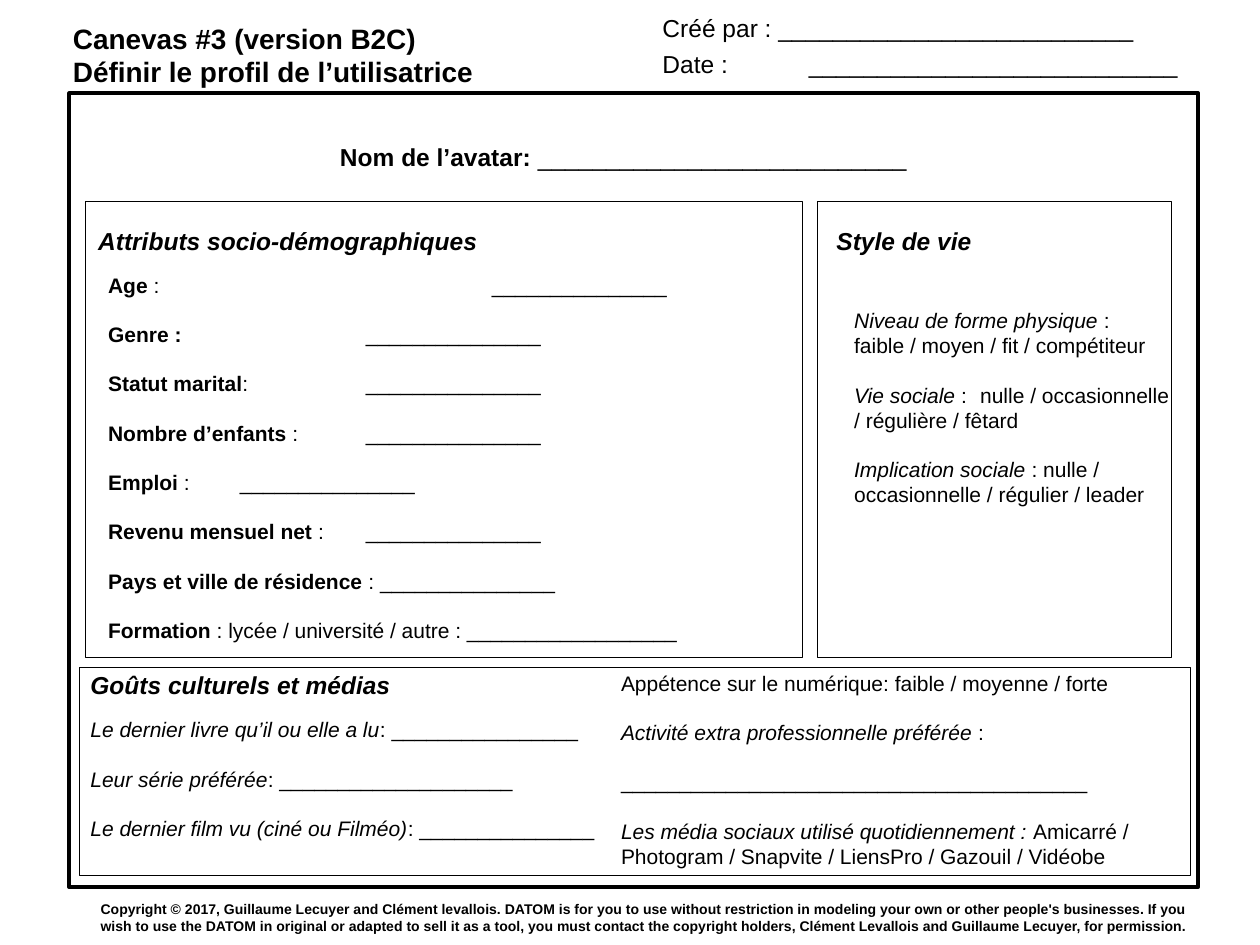
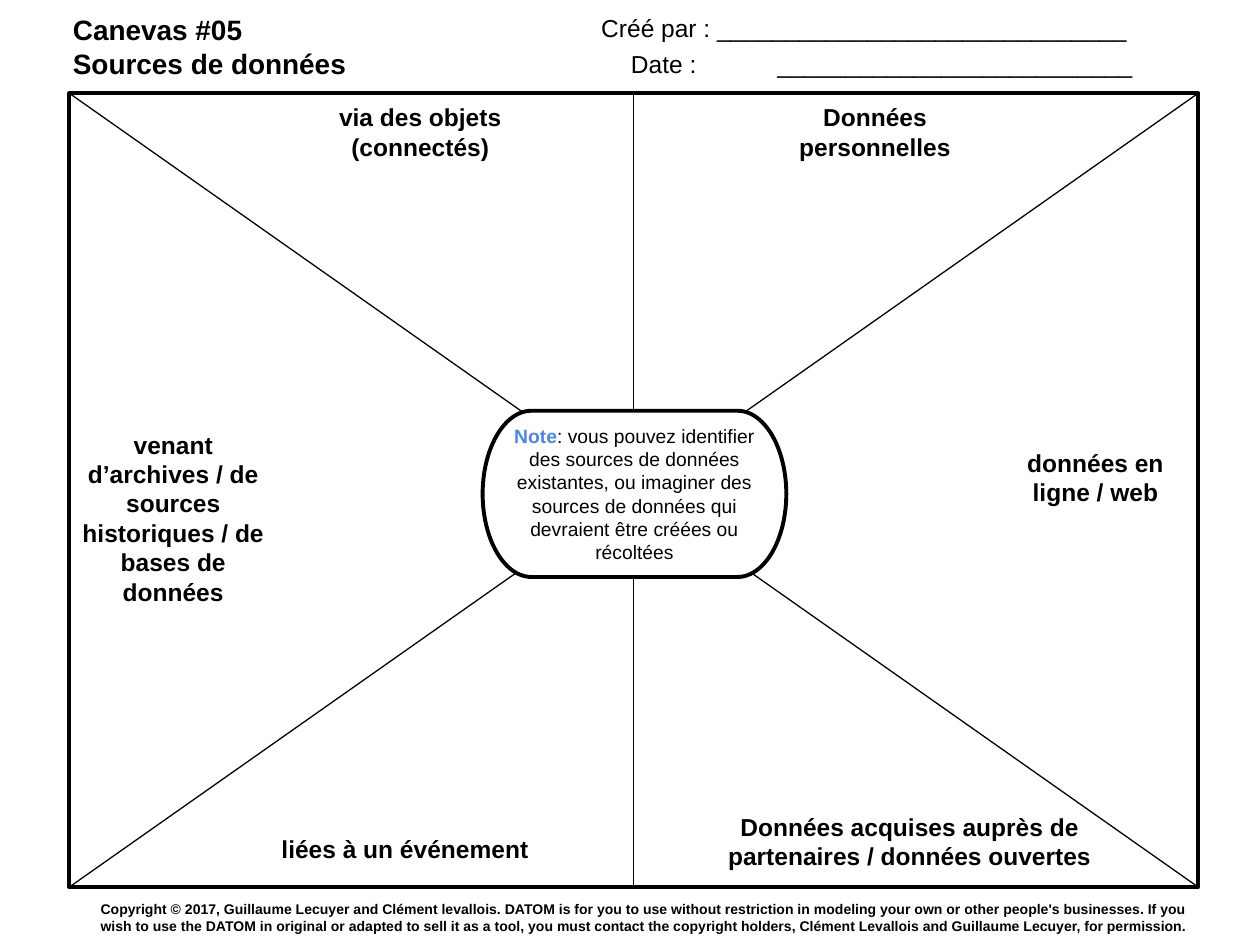
import pptx
import pptx.dml.color
import pptx.enum.shapes
import pptx.enum.text
import pptx.oxml
import pptx.oxml.ns
import pptx.util
from pptx.util import Pt

SHAPES = pptx.enum.shapes.MSO_SHAPE
ALIGN = pptx.enum.text.PP_ALIGN
ANCHOR = pptx.enum.text.MSO_ANCHOR

BLACK, WHITE, BLUE = "000000", "FFFFFF", "4A86E8"
FONT = "Arial"
THICK, THIN = 2.25, 0.75
BODY, LABEL, TITLE = 12, 14, 16
BLANK_LINE = 13.8
FRAME = (39.6, 53.3, 645.1, 453.6)
COPYRIGHT = (
    "Copyright © 2017, Guillaume Lecuyer and Clément levallois. DATOM is for you to use "
    "without restriction in modeling your own or other people's businesses. If you wish to "
    "use the DATOM in original or adapted to sell it as a tool, you must contact the "
    "copyright holders, Clément Levallois and Guillaume Lecuyer, for permission."
)


def color(value):
    """Turn a hex string into a colour."""
    return pptx.dml.color.RGBColor.from_string(value)


def inside(box, left, top, width, height):
    """Shift a box given relative to the corner of another one."""
    return box[0] + left, box[1] + top, width, height


def add_tab_stop(paragraph, position):
    """Give a paragraph one left tab stop."""
    properties = paragraph._p.get_or_add_pPr()
    tab_list = pptx.oxml.parse_xml(
        f'<a:tabLst {pptx.oxml.ns.nsdecls("a")}>'
        f'<a:tab pos="{Pt(position)}" algn="l"/></a:tabLst>')
    properties.append(tab_list)


def write(shape, paragraphs, size=BODY, bold=False, italic=False, align=ALIGN.LEFT,
          anchor=ANCHOR.TOP, gap=0, tabs=()):
    """Fill a shape with paragraphs, each a string or a list of (text, run format)."""
    frame = shape.text_frame
    frame.word_wrap = True
    frame.vertical_anchor = anchor
    frame.margin_left = frame.margin_right = Pt(7.2)
    frame.margin_top = frame.margin_bottom = Pt(7.2)
    for index, runs in enumerate(paragraphs):
        paragraph = frame.add_paragraph() if index else frame.paragraphs[0]
        if index < len(tabs) and tabs[index]:
            add_tab_stop(paragraph, tabs[index])
        paragraph.alignment = align
        if index and gap:
            paragraph.space_before = Pt(gap)
        for text, style in [(runs, {})] if isinstance(runs, str) else runs:
            run = paragraph.add_run()
            run.text = text
            run.font.name = FONT
            run.font.size = Pt(size)
            run.font.bold = style.get("bold", bold)
            run.font.italic = style.get("italic", italic)
            run.font.color.rgb = color(style.get("color", BLACK))


def add_text(slide, box, paragraphs, **style):
    """Add a text box with formatted text."""
    shape = slide.shapes.add_textbox(*map(Pt, box))
    write(shape, paragraphs, **style)


def add_outline(slide, box, width, kind=SHAPES.RECTANGLE, fill=None):
    """Add an outlined preset shape."""
    shape = slide.shapes.add_shape(kind, *map(Pt, box))
    shape.shadow.inherit = False
    if fill:
        shape.fill.solid()
        shape.fill.fore_color.rgb = color(fill)
    else:
        shape.fill.background()
    shape.line.color.rgb = color(BLACK)
    shape.line.width = Pt(width)
    return shape


def add_line(slide, *ends):
    """Add a thin straight line."""
    connector = slide.shapes.add_connector(
        pptx.enum.shapes.MSO_CONNECTOR.STRAIGHT, *map(Pt, ends))
    connector.line.color.rgb = color(BLACK)
    connector.line.width = Pt(THIN)
    connector._element.spPr.append(
        pptx.oxml.parse_xml(f'<a:effectLst {pptx.oxml.ns.nsdecls("a")}/>'))


def led(lead, rest, **style):
    """Return a paragraph whose lead differs in format from the rest."""
    return [(lead, style), (rest, {})]


def add_canvas(presentation, title, title_top, author_left, author_blanks,
               date_left, date_blanks):
    """Add a slide with its title, credit fields, frame and copyright line."""
    slide = presentation.slides.add_slide(presentation.slide_layouts[6])
    add_text(slide, (34.6, title_top, 330, 47.5), title, size=TITLE, bold=True)
    add_outline(slide, FRAME, THICK)
    add_text(slide, (author_left, 0, 330, 32.4), ["Créé par : " + "_" * author_blanks],
             size=LABEL)
    add_text(slide, (date_left, 20.9, 319.7, 32.4), ["Date :\t" + "_" * date_blanks],
             size=LABEL, tabs=[83.7])
    add_text(slide, (50.4, 513.4, 645.1, 21.6), [COPYRIGHT], size=8, bold=True,
             anchor=ANCHOR.MIDDLE)
    return slide


def add_section(slide, box, heading, left, top):
    """Add a thin box with its heading."""
    add_outline(slide, box, THIN)
    add_text(slide, inside(box, left, top, box[2] - left, 32.4), [heading],
             size=LABEL, bold=True, italic=True)


def add_attributes(slide, box):
    """Add the socio-demographic fields."""
    add_section(slide, box, "Attributs socio-démographiques", 0, 6.5)
    blank = "_" * 15
    near, middle, far = (72 * step + 3.3 for step in (1, 2, 3))
    fields = [
        ("Age", " :\t" + blank, far),
        ("Genre :", "\t" + blank, middle),
        ("Statut marital", ":\t" + blank, middle),
        ("Nombre d’enfants", " :\t" + blank, middle),
        ("Emploi ", ":\t" + blank, near),
        ("Revenu mensuel net ", ":\t" + blank, middle),
        ("Pays et ville de résidence ", ": " + blank, None),
        ("Formation ", ": lycée / université / autre : " + "_" * 18, None),
    ]
    add_text(slide, inside(box, 5.7, 33.1, 395.3, 222.5),
             [led(name, rest, bold=True) for name, rest, _ in fields],
             gap=BLANK_LINE, tabs=[stop for _, _, stop in fields])


def add_lifestyle(slide, box):
    """Add the lifestyle choices."""
    add_section(slide, box, "Style de vie", 3.6, 6.5)
    add_text(slide, inside(box, 13.7, 53.3, 195.1, 135.4), [
        led("Niveau de forme physique ", ": \tfaible / moyen / fit / compétiteur", italic=True),
        led("Vie sociale ", ": \tnulle / occasionnelle / régulière / fêtard", italic=True),
        led("Implication sociale ", ": nulle / occasionnelle / régulier / leader", italic=True),
    ], gap=BLANK_LINE)


def add_tastes(slide, box):
    """Add the culture and media fields in two columns."""
    add_section(slide, box, "Goûts culturels et médias", -0.8, -5.8)
    add_text(slide, inside(box, -0.8, 20.9, 340.6, 97.2), [
        led("Le dernier livre qu’il ou elle a lu", ": " + "_" * 16, italic=True),
        led("Leur série préférée", ": " + "_" * 20, italic=True),
        led("Le dernier film vu (ciné ou Filméo)", ": " + "_" * 15, italic=True),
    ], gap=BLANK_LINE)
    add_text(slide, inside(box, 302.4, -5.8, 331.2, 126.7), [
        "Appétence sur le numérique: faible / moyenne / forte",
        led("Activité extra professionnelle préférée ", ":", italic=True),
        "_" * 40,
        led("Les média sociaux utilisé quotidiennement : ",
            "Amicarré / Photogram / Snapvite / LiensPro / Gazouil / Vidéobe", italic=True),
    ], gap=BLANK_LINE)


def add_profile_slide(presentation):
    """Build the user profile canvas."""
    slide = add_canvas(presentation,
                       ["Canevas #3 (version B2C)", "Définir le profil de l’utilisatrice"],
                       5, 371.5, 26, 371.5, 27)
    add_text(slide, inside(FRAME, 147.6, 20.9, 457.9, 32.4),
             [led("Nom de l’avatar:", " " + "_" * 27, bold=True)], size=LABEL)
    add_attributes(slide, inside(FRAME, 9.4, 61.9, 409.7, 260.6))
    add_lifestyle(slide, inside(FRAME, 427.7, 61.9, 202.3, 260.6))
    add_tastes(slide, inside(FRAME, 5.8, 328.3, 635, 118.8))


def add_sectors(slide, box):
    """Divide the frame into six labelled sectors around a central note."""
    left, top, width, height = box
    right, bottom, middle = left + width, top + height, left + width / 2
    for start, end in ((right, left), (middle, middle), (left, right)):
        add_line(slide, start, bottom, end, top)
    sectors = [
        ("via des objets (connectés)", 113.8, 5.7, 173.5, 32.4),
        ("Données personnelles", 401, 5.7, 118.8, 32.4),
        ("données en ligne / web", 527, 203, 118.8, 32.4),
        ("liées à un événement", 90.7, 415.4, 202.3, 32.4),
        ("Données acquises auprès de partenaires / données ouvertes",
         364.3, 411.1, 231.8, 32.4),
        ("venant d’archives / de sources historiques / de bases de données",
         0, 189.3, 118.8, 106.6),
    ]
    for label, *place in sectors:
        add_text(slide, inside(box, *place), [label], size=LABEL, bold=True,
                 align=ALIGN.CENTER, anchor=ANCHOR.MIDDLE)
    note = add_outline(slide, inside(box, 236.2, 181.4, 173.5, 95), THICK,
                       SHAPES.FLOWCHART_TERMINATOR, WHITE)
    write(note, [led("Note", ": vous pouvez identifier des sources de données existantes, "
                     "ou imaginer des sources de données qui devraient être créées ou "
                     "récoltées", bold=True, color=BLUE)],
          size=11, align=ALIGN.CENTER, anchor=ANCHOR.MIDDLE)


def add_sources_slide(presentation):
    """Build the data sources canvas."""
    slide = add_canvas(presentation, ["Canevas #05", "Sources de données"],
                       0, 336.5, 30, 353.5, 26)
    add_sectors(slide, FRAME)


def main():
    """Build and save the presentation."""
    presentation = pptx.Presentation()
    presentation.slide_width, presentation.slide_height = Pt(720), Pt(540)
    add_profile_slide(presentation)
    add_sources_slide(presentation)
    presentation.save("out.pptx")


if __name__ == "__main__":
    main()
